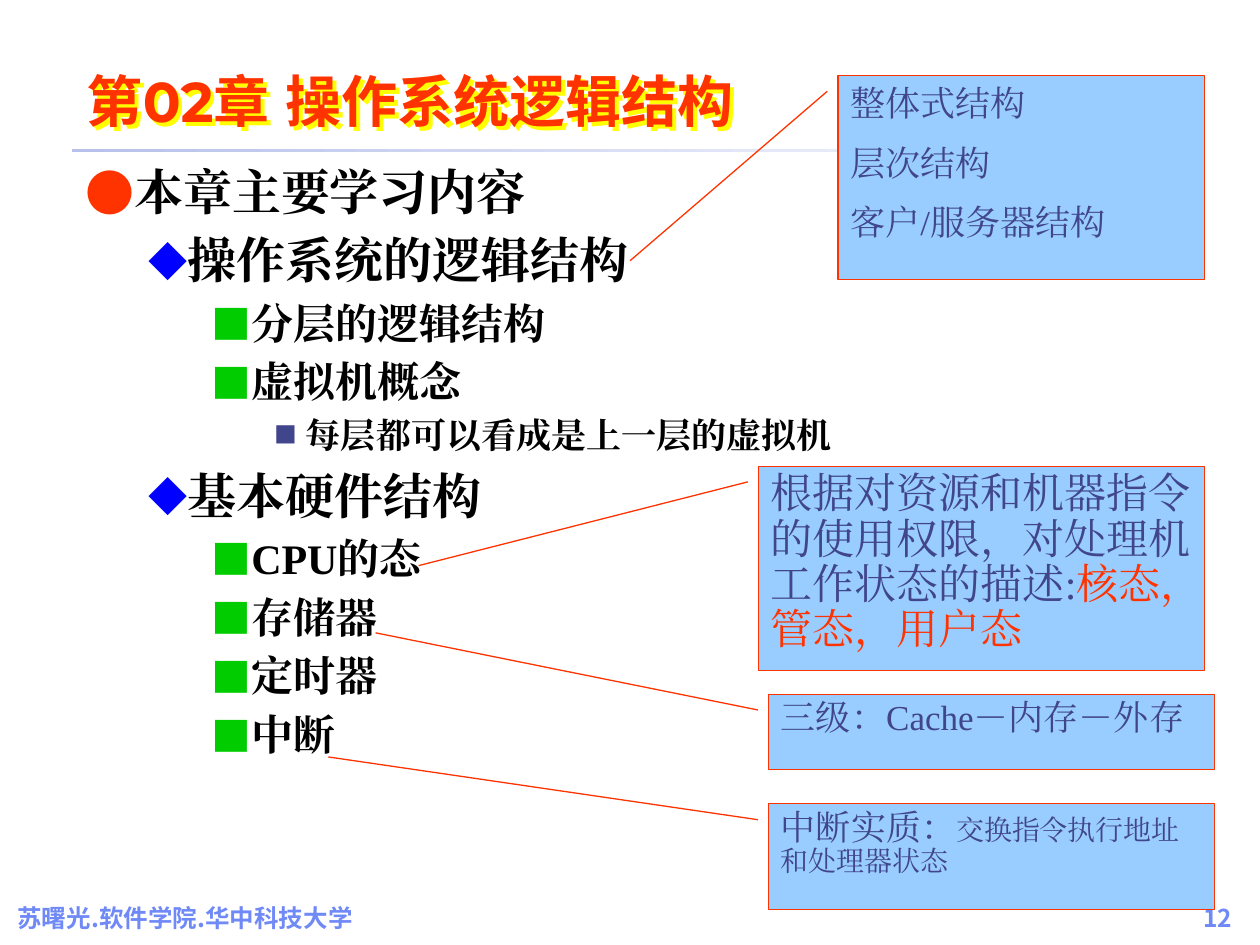
from lxml import etree
from pptx import Presentation, util as u
from pptx.dml.color import RGBColor
from pptx.enum import shapes, text
from pptx.oxml import ns

HUES = {"red": "FF3300", "blue": "0000FF", "green": "00CC00", "navy": "40458C",
        "sky": "99CCFF", "black": "000000", "foot": "6F89F7", "rule": "B7C1EB",
        "white": "FFFFFF", "gold": "FFFF00"}
SERIF, SANS, HEAD = "Times New Roman", "Noto Sans CJK SC", "Montserrat"

LEVELS = [
    {"left": 0.38, "hang": 0.38, "mark": "●", "hue": "red", "pct": 100, "size": 28},
    {"left": 0.81, "hang": 0.31, "mark": "◆", "hue": "blue", "pct": 80, "size": 28},
    {"left": 1.25, "hang": 0.25, "mark": "■", "hue": "green", "pct": 95, "size": 24},
    {"left": 1.75, "hang": 0.25, "mark": "■", "hue": "navy", "pct": 65, "size": 20},
]
TOPICS = [
    (0, [("本章主要学习内容", SERIF)]),
    (1, [("操作系统的逻辑结构", SERIF)]),
    (2, [("分层的", SERIF), ("逻辑", SANS), ("结构", SERIF)]),
    (2, [("虚拟机概念", SERIF)]),
    (3, [("每层都可以看成是上一层的虚拟机", SANS)]),
    (1, [("基本硬件结构", SERIF)]),
    (2, [("CPU的态", SERIF)]),
    (2, [("存储器", SERIF)]),
    (2, [("定时器", SERIF)]),
    (2, [("中断", SERIF)]),
]
NOTES = [
    {"at": (6.65, 0.6, 2.91, 1.62), "tail": (0.077, -0.029, 0.907, -0.567),
     "gap": 50, "line": 1.0,
     "paras": [[("整体式结构", 20, "navy")], [("层次结构", 20, "navy")],
               [("客户/服务器结构", 20, "navy")]]},
    {"at": (6.02, 3.7, 3.54, 1.62), "tail": (0.077, -0.024, 0.487, -0.762),
     "gap": 20, "line": 0.9,
     "paras": [[("根据对资源和机器指令的使用权限，对处理机工作状态的描述:", 24, "navy"),
                ("核态，管态，用户态", 24, "red")]]},
    {"at": (6.1, 5.51, 3.54, 0.6), "tail": (0.209, -0.024, -0.812, -0.881),
     "gap": 20, "line": 0.9,
     "paras": [[("三级：Cache－内存－外存", 20, "navy")]]},
    {"at": (6.1, 6.38, 3.54, 0.84), "tail": (0.15, -0.024, -0.443, -0.987),
     "gap": 20, "line": 0.9,
     "paras": [[("中断实质：", 20, "navy"), ("交换指令执行地址和处理器状态", 16, "navy")]]},
]
LABELS = [
    ((0.04, 6.95, 4.67, 0.5), "苏曙光.软件学院.华中科技大学", 14, SANS, "foot", text.PP_ALIGN.LEFT),
    ((8.78, 6.95, 1.1, 0.5), "12", 14, SANS, "foot", text.PP_ALIGN.RIGHT),
    ((0.59, 0.36, 7.4, 0.75), "第02章 操作系统逻辑结构", 32, HEAD, "red", text.PP_ALIGN.LEFT),
]


def rgb(hue):
    return RGBColor.from_string(HUES[hue])


def sub(node, tag, **vals):
    return etree.SubElement(node, ns.qn("a:" + tag), {k: str(v) for k, v in vals.items()})


def dress(item, **vals):
    for key, val in vals.items():
        setattr(item, key, val)


def put_run(para, words, face, size, hue, bold, east):
    run = para.add_run()
    run.text = words
    dress(run.font, name=face, size=u.Pt(size), bold=bold)
    run.font.color.rgb = rgb(hue)
    sub(run.font._element, "ea", typeface=east)


def put_gap(para, pct):
    sub(sub(para._p.get_or_add_pPr(), "spcBef"), "spcPct", val=pct * 1000)


def put_mark(para, rank):
    form = LEVELS[rank]
    props = para._p.get_or_add_pPr()
    props.set("marL", str(u.Inches(form["left"])))
    props.set("indent", str(-u.Inches(form["hang"])))
    sub(sub(props, "buClr"), "srgbClr", val=HUES[form["hue"]])
    sub(props, "buSzPct", val=form["pct"] * 1000)
    sub(props, "buFont", typeface=SANS)
    sub(props, "buChar", char=form["mark"])
    para.level = rank


def paras(frame, rows):
    for i, row in enumerate(rows):
        yield i, frame.paragraphs[0] if i == 0 else frame.add_paragraph(), row


def put_box(slide, at, anchor):
    box = slide.shapes.add_textbox(*map(u.Inches, at))
    dress(box.text_frame, word_wrap=True, vertical_anchor=anchor)
    return box


def put_rule(slide):
    bar = slide.shapes.add_shape(shapes.MSO_SHAPE.RECTANGLE, *map(u.Inches, (0.57, 1.18, 9, 0.03)))
    bar.shadow.inherit = False
    bar.line.fill.background()
    bar.fill.gradient()
    bar.fill.gradient_angle = 0
    for stop, hue, pos in zip(bar.fill.gradient_stops, ("rule", "white"), (0, 1)):
        stop.color.rgb = rgb(hue)
        stop.position = pos


def put_labels(slide):
    for at, words, size, face, hue, align in LABELS:
        box = put_box(slide, at, text.MSO_ANCHOR.BOTTOM)
        para = box.text_frame.paragraphs[0]
        para.alignment = align
        put_run(para, words, face, size, hue, True, face)
    box.shadow.inherit = False
    glow = sub(box._element.spPr.find(ns.qn("a:effectLst")), "outerShdw",
               dist=u.Inches(0.04), dir=2700000, algn="ctr", rotWithShape=0)
    sub(glow, "srgbClr", val=HUES["gold"])


def put_topics(slide):
    box = put_box(slide, (0.58, 1.23, 9, 5.51), text.MSO_ANCHOR.TOP)
    for i, para, (rank, runs) in paras(box.text_frame, TOPICS):
        if i:
            put_gap(para, 20)
        put_mark(para, rank)
        for words, face in runs:
            put_run(para, words, face, LEVELS[rank]["size"], "black", True, SERIF)


def put_note(slide, note):
    box = slide.shapes.add_shape(shapes.MSO_SHAPE.LINE_CALLOUT_1, *map(u.Inches, note["at"]))
    box.shadow.inherit = False
    for i, val in enumerate(note["tail"]):
        box.adjustments[i] = val
    box.fill.solid()
    box.fill.fore_color.rgb = rgb("sky")
    box.line.color.rgb = rgb("red")
    box.line.width = u.Pt(0.75)
    dress(box.text_frame, word_wrap=True, vertical_anchor=text.MSO_ANCHOR.TOP)
    for i, para, runs in paras(box.text_frame, note["paras"]):
        dress(para, alignment=text.PP_ALIGN.LEFT, line_spacing=note["line"])
        if i:
            put_gap(para, note["gap"])
        for words, size, hue in runs:
            put_run(para, words, SERIF, size, hue, False, SERIF)


def main():
    deck = Presentation()
    dress(deck, slide_width=u.Inches(10), slide_height=u.Inches(7.5))
    slide = deck.slides.add_slide(deck.slide_layouts[6])
    put_rule(slide)
    put_labels(slide)
    put_topics(slide)
    for note in NOTES:
        put_note(slide, note)
    deck.save("out.pptx")


if __name__ == "__main__":
    main()
